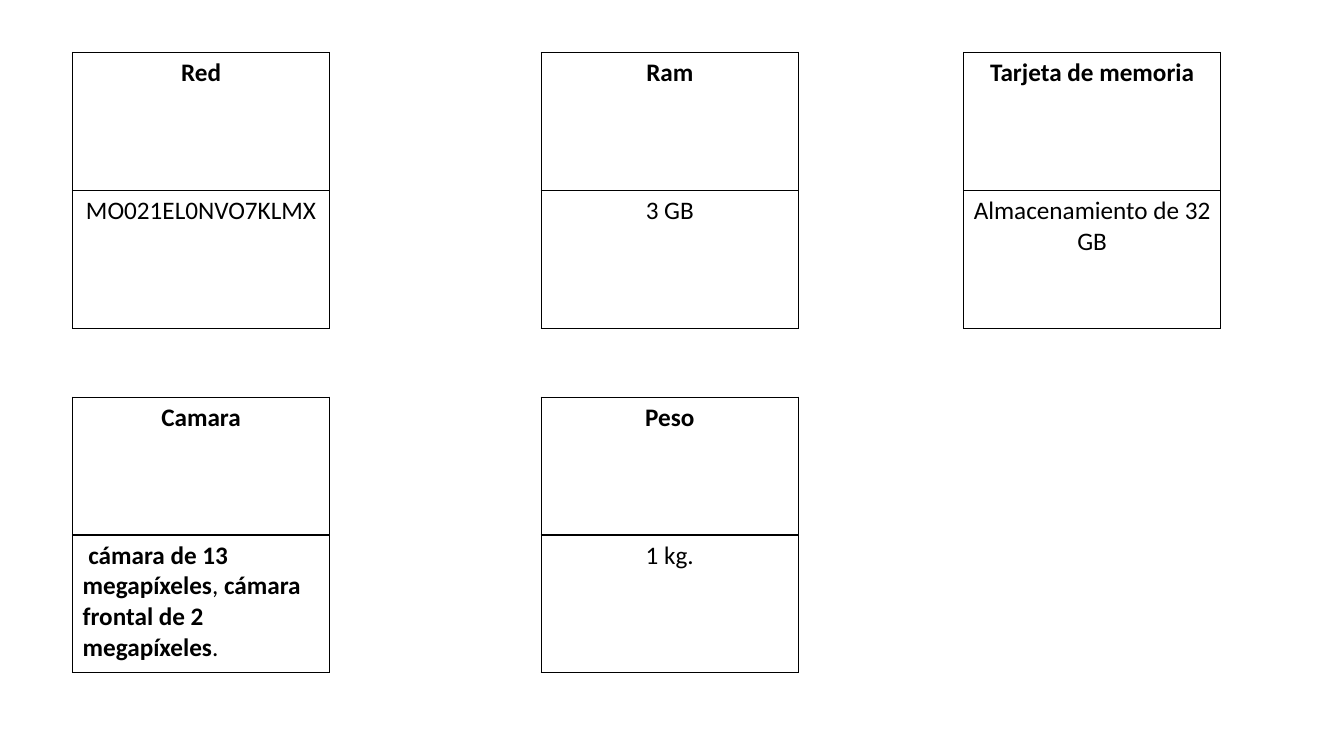
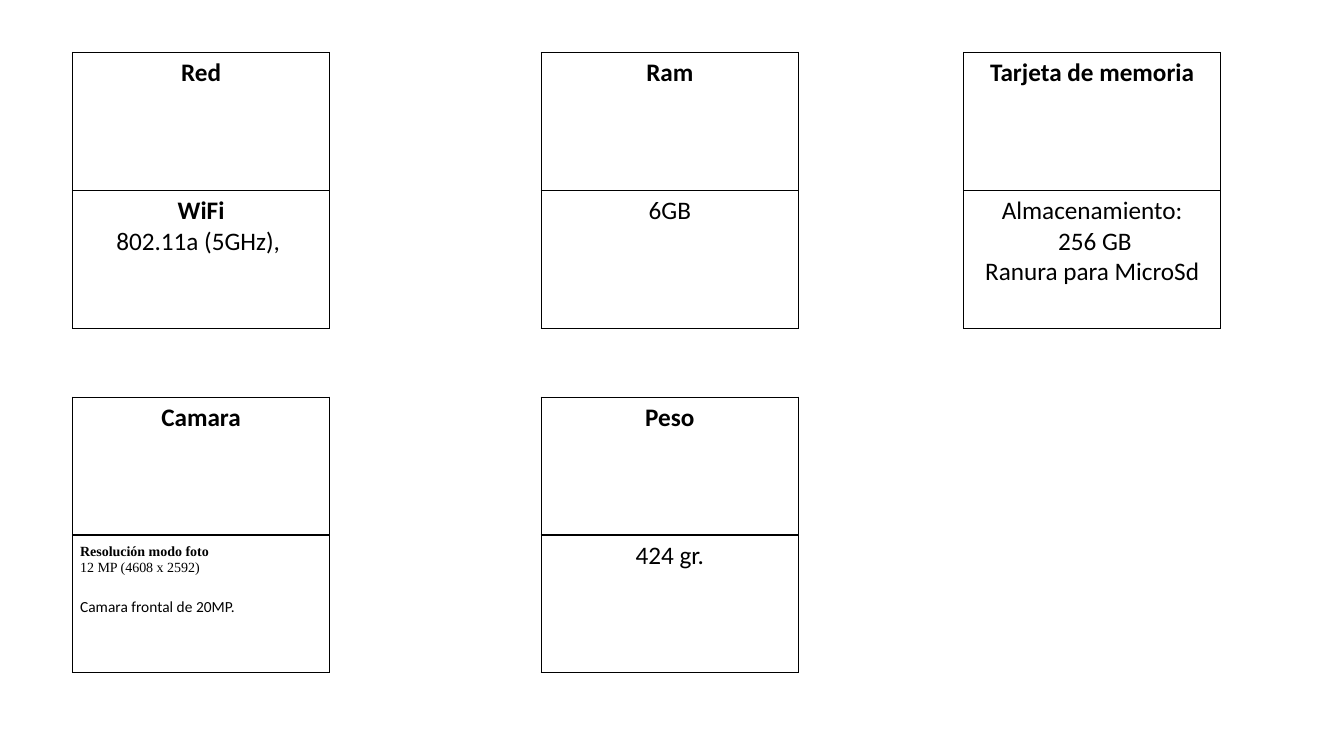
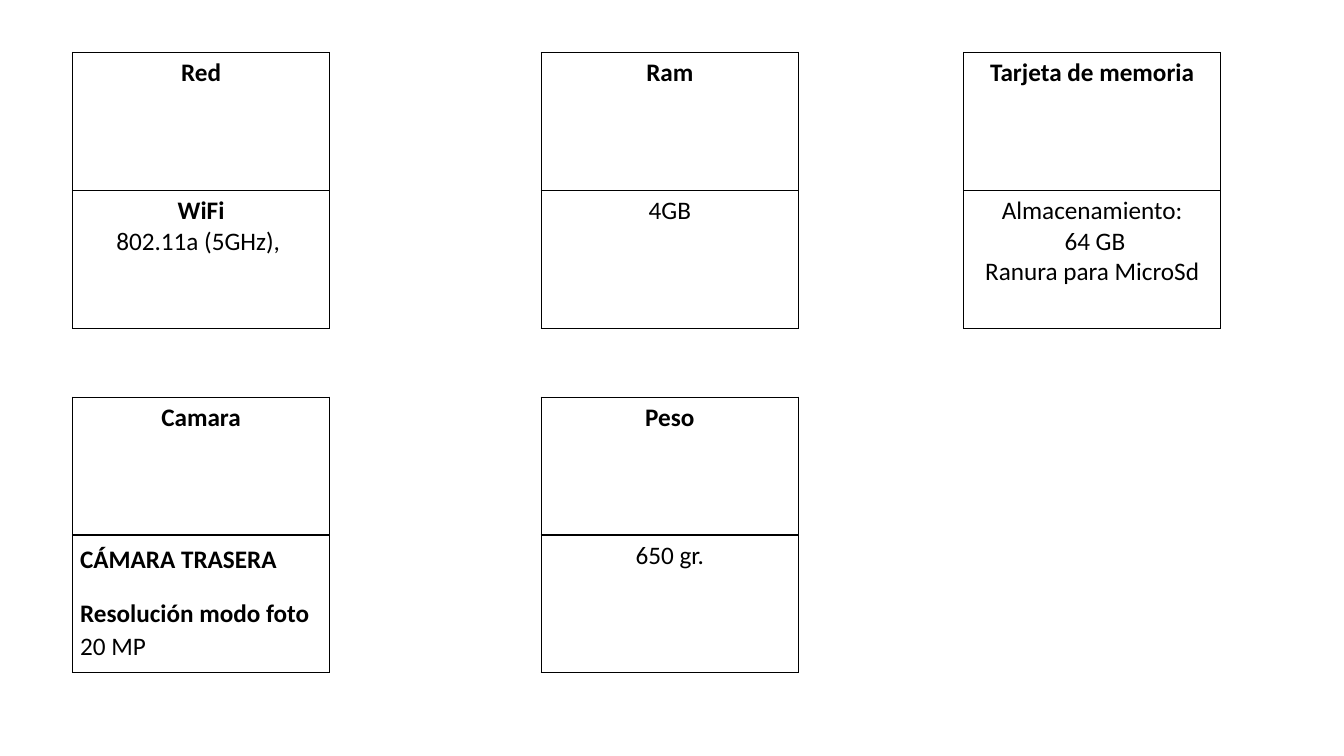
from copy import deepcopy
from dataclasses import dataclass

from lxml import etree
from pptx import Presentation
from pptx.dml.color import RGBColor
from pptx.enum.text import PP_ALIGN
from pptx.oxml.ns import qn
from pptx.util import Pt

CENTER = PP_ALIGN.CENTER
LEFT = PP_ALIGN.LEFT


@dataclass(frozen=True)
class Theme:
    ink: str = "000000"
    paper: str = "FFFFFF"
    font: str = "Calibri"
    serif: str = "Times New Roman"
    body: int = 18
    note: int = 11
    small: int = 10
    border: int = 1


THEME = Theme()


def write(para, text, bold=False, size=THEME.body, font=THEME.font):
    span = para.add_run()
    span.text = text.rstrip("\n")
    span.font.bold = bold
    span.font.size = Pt(size)
    span.font.name = font
    span.font.color.rgb = RGBColor.from_string(THEME.ink)
    if text.endswith("\n"):
        para.add_line_break()
        para._p[-1].append(deepcopy(span.font._rPr))


def draw_border(cell):
    properties = cell._tc.get_or_add_tcPr()
    for side in ("lnL", "lnR", "lnT", "lnB"):
        line = etree.SubElement(properties, qn(f"a:{side}"), w=str(Pt(THEME.border)))
        fill = etree.SubElement(line, qn("a:solidFill"))
        etree.SubElement(fill, qn("a:srgbClr"), val=THEME.ink)


STRONG = {"bold": True}
PLAIN = {}
SERIF = {"size": THEME.small, "font": THEME.serif}

CARD_WIDTH = 183.6
ROW_HEIGHT = 98.5
COLUMNS = (51.84, 386.64, 688.32)
ROWS = (37.44, 283.68)
CARDS = {
    "Red": (0, 0),
    "Ram": (1, 0),
    "Tarjeta de memoria": (2, 0),
    "Camara": (0, 1),
    "Peso": (1, 1),
}
WIFI = [[("WiFi\n", STRONG), ("802.11a (5GHz), ", PLAIN)]]

phones = [
    {
        "Red": [[("MO021EL0NVO7KLMX", PLAIN)]],
        "Ram": [[("3 GB", PLAIN)]],
        "Tarjeta de memoria": [[("Almacenamiento de 32 GB", PLAIN)]],
        "Camara": [[
            ("\u00a0", PLAIN),
            ("cámara de 13 megapíxeles", STRONG),
            (", ", PLAIN),
            ("cámara frontal de 2 megapíxeles", STRONG),
            (".\u00a0", PLAIN),
        ]],
        "Peso": [[("1 kg.", PLAIN)]],
    },
    {
        "Red": WIFI,
        "Ram": [[("6GB", PLAIN)]],
        "Tarjeta de memoria": [
            [("Almacenamiento:", PLAIN)],
            [(" 256 GB", PLAIN)],
            [("Ranura para MicroSd", PLAIN)],
        ],
        "Camara": [
            [("Resolución modo foto\n", SERIF | STRONG), ("12 MP (4608 x 2592)", SERIF)],
            [("Camara frontal de 20MP.", {"size": THEME.note})],
        ],
        "Peso": [[("424 gr.", PLAIN)]],
    },
    {
        "Red": WIFI,
        "Ram": [[("4GB", PLAIN)]],
        "Tarjeta de memoria": [
            [("Almacenamiento:", PLAIN)],
            [(" 64 GB", PLAIN)],
            [("Ranura para MicroSd", PLAIN)],
        ],
        "Camara": [
            [("CÁMARA TRASERA ", STRONG)],
            [("Resolución modo foto\n", STRONG), ("20 MP", PLAIN)],
        ],
        "Peso": [[("650 gr.", PLAIN)]],
    },
]

deck = Presentation()
deck.slide_width = Pt(960)
deck.slide_height = Pt(540)
blank_layout = deck.slide_layouts[6]

for phone in phones:
    page = deck.slides.add_slide(blank_layout)
    for heading, (column, row) in CARDS.items():
        card = page.shapes.add_table(
            2, 1, Pt(COLUMNS[column]), Pt(ROWS[row]), Pt(CARD_WIDTH), Pt(2 * ROW_HEIGHT)
        ).table
        card.first_row = False
        card.horz_banding = False
        contents = ([[(heading, STRONG)]], phone[heading])
        for index, paragraphs in enumerate(contents):
            cell = card.cell(index, 0)
            draw_border(cell)
            cell.fill.solid()
            cell.fill.fore_color.rgb = RGBColor.from_string(THEME.paper)
            is_camera = heading == "Camara" and index == 1
            is_spaced = is_camera and len(paragraphs) > 1
            if is_spaced:
                cell.margin_left = cell.margin_right = Pt(5.4)
                cell.margin_top = cell.margin_bottom = Pt(5.4)
            frame = cell.text_frame
            for number, spans in enumerate(paragraphs):
                para = frame.add_paragraph() if number else frame.paragraphs[0]
                para.alignment = LEFT if is_camera else CENTER
                if is_spaced:
                    para.line_spacing = 1.07
                    para.space_after = Pt(15)
                for text, style in spans:
                    write(para, text, **style)

deck.save("out.pptx")
